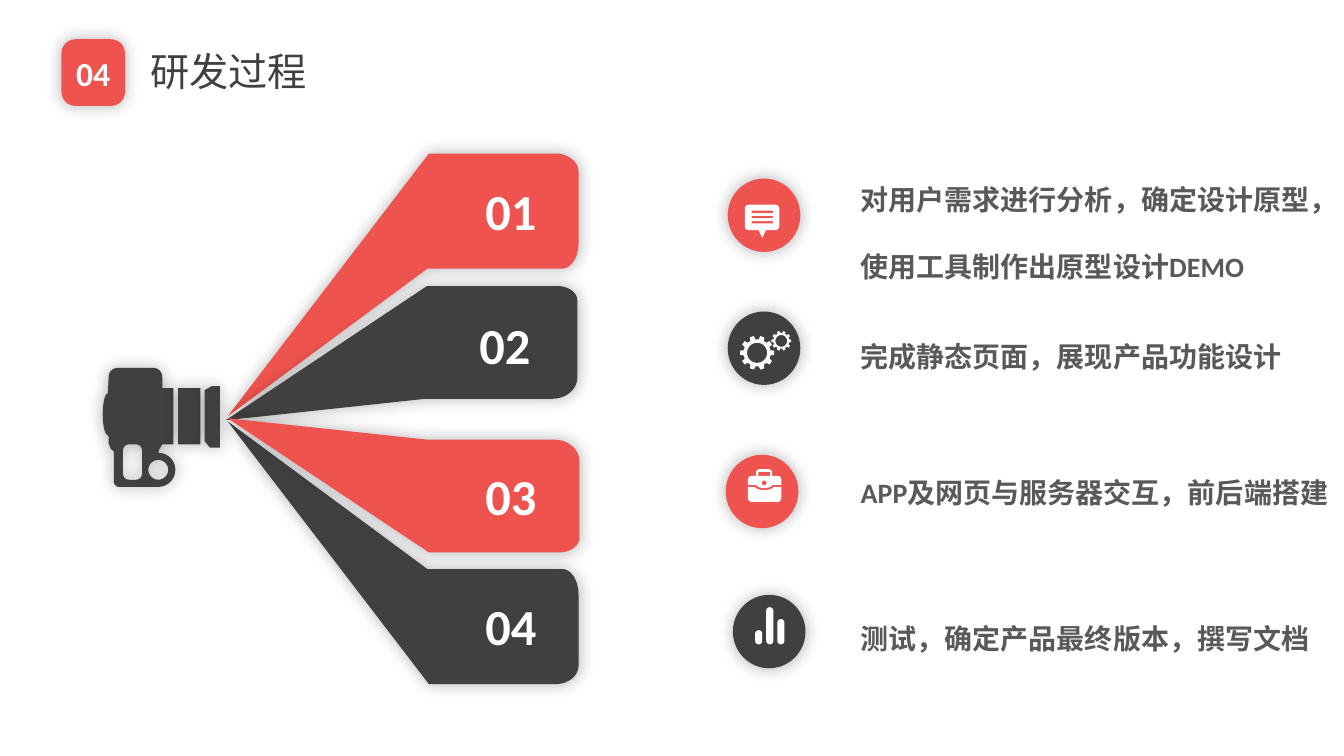
import math

from lxml import etree
from pptx import Presentation
from pptx import util as u
from pptx.dml.color import RGBColor
from pptx.enum import shapes, text
from pptx.oxml.ns import qn

RED, DARK, GREY, WHITE = "EE534F", "404040", "595959", "FFFFFF"
FONT = "Calibri"


# ---- Outline points, in cm; angles run clockwise from the right ----
def arc(x, y, rx, ry, start, end, steps=10):
    angles = [math.radians(start + (end - start) * i / steps) for i in range(steps + 1)]
    return [(x + rx * math.cos(a), y + ry * math.sin(a)) for a in angles]


def circle(x, y, r):
    return arc(x, y, r, r, 0, 360, 32)


def round_box(x, y, w, h, r):
    right, bottom = x + w - r, y + h - r
    return (arc(x + r, y + r, r, r, 180, 270) + arc(right, y + r, r, r, 270, 360)
            + arc(right, bottom, r, r, 0, 90) + arc(x + r, bottom, r, r, 90, 180))


def box_points(x, y, w, h):
    return [(x, y), (x + w, y), (x + w, y + h), (x, y + h)]


def gear(x, y, outer, inner, teeth=10):
    step = 360 / teeth
    points = []
    for tooth in range(teeth):
        for offset, r in ((-0.3, inner), (-0.2, outer), (0.2, outer), (0.3, inner)):
            angle = math.radians((tooth + offset) * step)
            points.append((x + r * math.cos(angle), y + r * math.sin(angle)))
    return points


# ---- Shape helpers ----
def paint(shape, colour, shadow=False):
    shape.fill.solid()
    shape.fill.fore_color.rgb = RGBColor.from_string(colour)
    shape.line.fill.background()
    shape.shadow.inherit = False
    if shadow:
        effects = shape._element.spPr.find(qn("a:effectLst"))
        glow = etree.SubElement(effects, qn("a:outerShdw"), blurRad=str(u.Pt(12)),
                                dist="0", dir="0", algn="ctr", rotWithShape="0")
        tone = etree.SubElement(glow, qn("a:srgbClr"), val="000000")
        etree.SubElement(tone, qn("a:alpha"), val="30000")


def preset(page, kind, left, top, width, height, colour, shadow=False):
    shape = page.shapes.add_shape(kind, u.Cm(left), u.Cm(top), u.Cm(width), u.Cm(height))
    paint(shape, colour, shadow)
    return shape


def outline(page, left, top, colour, *contours, shadow=False):
    placed = [[(u.Cm(left + x), u.Cm(top + y)) for x, y in points] for points in contours]
    builder = page.shapes.build_freeform(*placed[0][0], scale=1.0)
    for i, points in enumerate(placed):
        if i:
            builder.move_to(*points[0])
        builder.add_line_segments(points[1:], close=True)
    paint(builder.convert_to_shape(), colour, shadow)


def write(shape, words, size, colour, bold=True, align=text.PP_ALIGN.LEFT,
          anchor=text.MSO_ANCHOR.TOP, spacing=None, inset=True):
    frame = shape.text_frame
    frame.word_wrap = True
    frame.vertical_anchor = anchor
    if not inset:
        frame.margin_left = frame.margin_right = frame.margin_top = frame.margin_bottom = 0
    para = frame.paragraphs[0]
    para.text = words
    para.alignment = align
    para.line_spacing = spacing
    para.font.name, para.font.size, para.font.bold = FONT, u.Pt(size), bold
    para.font.color.rgb = RGBColor.from_string(colour)


def text_box(page, left, top, width, height, words, size, colour, **style):
    box = page.shapes.add_textbox(u.Cm(left), u.Cm(top), u.Cm(width), u.Cm(height))
    write(box, words, size, colour, **style)
    box.text_frame.auto_size = text.MSO_AUTO_SIZE.SHAPE_TO_FIT_TEXT


# ---- Header: section badge and title ----
def header(page, left, top):
    badge = preset(page, shapes.MSO_SHAPE.ROUNDED_RECTANGLE, left, top, 1.6, 1.68, RED, True)
    badge.adjustments[0] = 0.22
    write(badge, "04", 24, WHITE, align=text.PP_ALIGN.CENTER,
          anchor=text.MSO_ANCHOR.MIDDLE, inset=False)
    title = page.shapes.title
    title.left, title.top = u.Cm(left + 1.98), u.Cm(top - 0.1)
    title.width, title.height = u.Cm(9.14), u.Cm(1.78)
    write(title, "研发过程", 28, DARK, bold=False, anchor=text.MSO_ANCHOR.MIDDLE)


# ---- Camera seen from the side ----
def camera(page, left, top):
    body = (arc(1.27, 0.23, 0.23, 0.23, 270, 360)
            + [(1.5, 0.51), (1.78, 0.51), (1.78, 1.93), (1.5, 1.93), (1.42, 2.06)]
            + arc(1.4, 2.57, 0.43, 0.43, 270, 450, 20)
            + arc(0.41, 2.87, 0.13, 0.13, 90, 180)
            + [(0.28, 2.11), (0.2, 2.04), (0.15, 1.9), (0.15, 1.73)]
            + arc(0.13, 1.17, 0.13, 0.53, 90, 270, 20)
            + arc(0.38, 0.23, 0.23, 0.23, 180, 270))
    outline(page, left, top, DARK, body, circle(1.4, 2.57, 0.25),
            round_box(0.51, 1.93, 0.48, 0.89, 0.15), shadow=True)
    preset(page, shapes.MSO_SHAPE.RECTANGLE, left + 1.9, top + 0.51, 0.56, 1.42, DARK, True)
    outline(page, left, top, DARK, [(2.95, 2.01), (2.95, 0.46), (2.75, 0.46), (2.57, 0.56),
                                    (2.57, 1.85), (2.7, 2.01)], shadow=True)


# ---- Light beams: rise from tip, panel depth, far corner (x, rx, ry), near corner ----
OUTER = (6.62, 2.9, (8.26, 0.58, 0.46), (8.43, 0.41, 0.64))
INNER = (3.38, 2.84, (8.36, 0.5, 0.36), (8.23, 0.63, 0.53))


def beam(page, left, tip, side, form, colour):
    rise, depth, (far_x, far_rx, far_ry), (near_x, near_rx, near_ry) = form
    points = ([(0, rise), (5.07, 0)]
              + arc(far_x, far_ry, far_rx, far_ry, 270, 360)
              + arc(near_x, depth - near_ry, near_rx, near_ry, 0, 90)
              + [(5.03, depth)])
    outline(page, left, tip, colour, [(x, side * (y - rise)) for x, y in points], shadow=True)


def fan(page, left, top):
    for x, tip, side, form, colour in ((0.05, 6.63, 1, OUTER, RED),
                                       (0.05, 6.76, -1, OUTER, DARK),
                                       (0, 6.73, 1, INNER, DARK),
                                       (0.05, 6.68, -1, INNER, RED)):
        beam(page, left + x, top + tip, side, form, colour)
    labels = ((6.27, 0.69), (6.12, 4.06), (6.27, 7.85), (6.27, 11.13))
    for number, (x, y) in enumerate(labels, 1):
        text_box(page, left + x, top + y, 1.83, 1.55, f"{number:02}", 36, WHITE,
                 align=text.PP_ALIGN.CENTER, inset=False)


# ---- Icons, placed from the corner of their disc ----
def speech_icon(page, left, top):
    outline(page, left, top, WHITE, [(0.75, 1.24), (0.99, 1.24), (0.87, 1.5)])
    lines = [box_points(0.6, 0.81 + 0.13 * i, 0.54, 0.06) for i in range(3)]
    outline(page, left, top, WHITE, round_box(0.43, 0.66, 0.87, 0.64, 0.1), *lines)


def gears_icon(page, left, top):
    for x, y, r in ((0.74, 1.04, 0.43), (1.35, 0.74, 0.25)):
        outline(page, left, top, WHITE, gear(x, y, r, 0.8 * r), circle(x, y, 0.59 * r))


def briefcase_icon(page, left, top):
    case = (arc(0.97, 0.81, 0.23, 0.08, 180, 0) + [(1.4, 0.81)]
            + arc(1.3, 1.09, 0.1, 0.1, 0, 90) + arc(0.66, 1.09, 0.1, 0.1, 90, 180)
            + [(0.56, 0.81)])
    lid = (arc(0.66, 0.63, 0.1, 0.1, 180, 270) + [(0.76, 0.53)]
           + arc(0.86, 0.46, 0.1, 0.1, 180, 270) + arc(1.07, 0.46, 0.1, 0.1, 270, 360)
           + [(1.17, 0.53)] + arc(1.3, 0.63, 0.1, 0.1, 270, 360) + [(1.4, 0.76)]
           + arc(0.97, 0.76, 0.2, 0.08, 0, 180) + [(0.56, 0.76)])
    outline(page, left, top, WHITE, case)
    outline(page, left, top, WHITE, lid, box_points(0.82, 0.43, 0.3, 0.1),
            circle(0.97, 0.71, 0.06))


def bars_icon(page, left, top):
    for i, height in enumerate((0.36, 0.94, 0.64)):
        bar = preset(page, shapes.MSO_SHAPE.ROUNDED_RECTANGLE, left + 0.56 + 0.28 * i,
                     top + 1.25 - height, 0.18, height, WHITE)
        bar.adjustments[0] = 0.5


# ---- Steps: disc x and y, text y, width and height ----
STEPS = (
    (0.05, 0.87, 0, 11.86, 3.43, RED, speech_icon, "对用户需求进行分析，确定设计原型，使用工具制作出原型设计DEMO"),
    (0.05, 4.22, 3.96, 11.86, 1.96, DARK, gears_icon, "完成静态页面，展现产品功能设计"),
    (0, 7.83, 7.37, 12.42, 1.96, RED, briefcase_icon, "APP及网页与服务器交互，前后端搭建"),
    (0.18, 11.36, 11.05, 11.86, 1.96, DARK, bars_icon, "测试，确定产品最终版本，撰写文档"),
)


def steps(page, left, top):
    for x, y, text_y, width, height, colour, icon, words in STEPS:
        preset(page, shapes.MSO_SHAPE.OVAL, left + x, top + y, 1.83, 1.85, colour, True)
        icon(page, left + x, top + y)
        text_box(page, left + 3.15, top + text_y, width, height, words, 20, GREY, spacing=2.0)


def main():
    deck = Presentation()
    deck.slide_width, deck.slide_height = u.Cm(33.87), u.Cm(19.05)
    page = deck.slides.add_slide(deck.slide_layouts[5])
    header(page, 1.55, 0.99)
    camera(page, 2.59, 9.27)
    fan(page, 5.69, 3.86)
    steps(page, 18.29, 3.63)
    deck.save("out.pptx")


if __name__ == "__main__":
    main()
